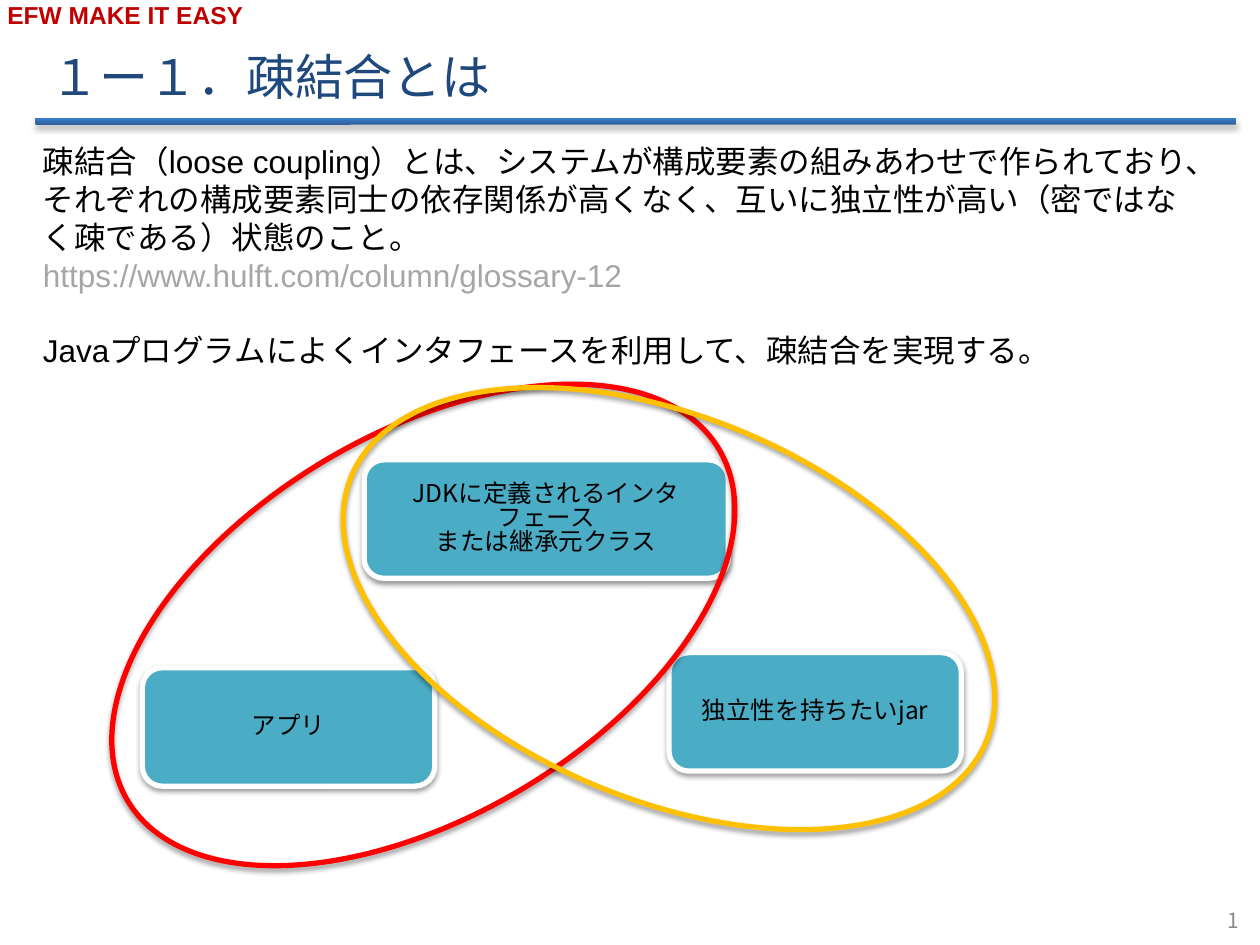
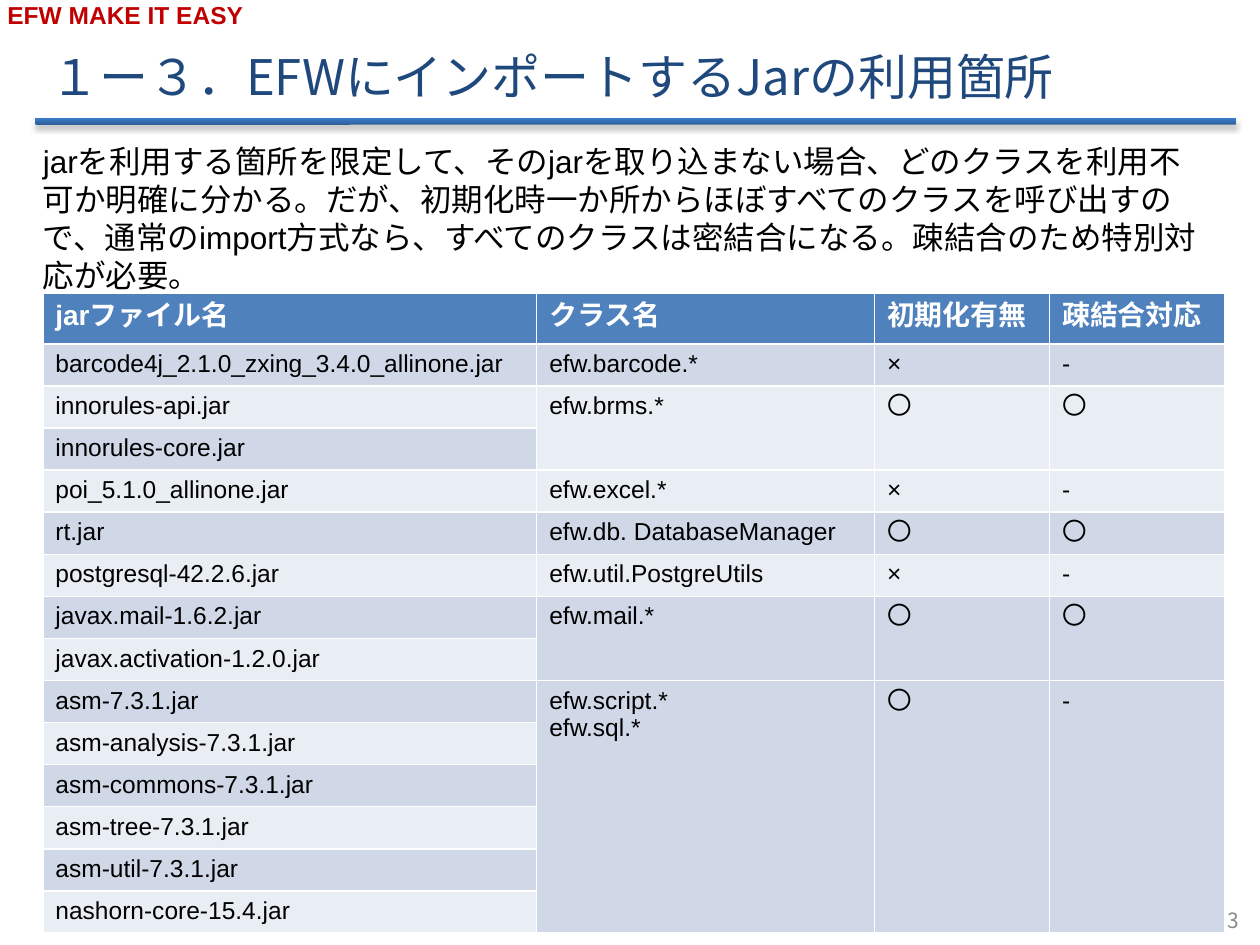
from dataclasses import dataclass

from pptx import Presentation
from pptx.dml.color import RGBColor
from pptx.enum.shapes import MSO_SHAPE
from pptx.enum.text import MSO_ANCHOR, MSO_AUTO_SIZE, PP_ALIGN
from pptx.oxml.ns import qn
from pptx.util import Inches, Pt
from lxml.etree import SubElement


@dataclass(frozen=True)
class Theme:
    sans: str = "Arial"
    japanese: str = "Noto Sans CJK JP"
    black: str = "000000"
    white: str = "FFFFFF"
    brand: str = "C00000"
    title: str = "1F497D"
    number: str = "898989"
    link: str = "A6A6A6"
    rule: tuple = ("2F5F99", "3A7CCB")
    box: str = "4BACC6"
    header: str = "4F81BD"
    bands: tuple = ("D0D8E8", "E9EDF4")
    title_size: int = 28
    body_size: int = 18
    header_size: int = 16
    label_size: int = 14
    number_size: int = 12


THEME = Theme()

BRAND = "EFW MAKE IT EASY"

COUPLING = {
    "title": "１ー１．疎結合とは",
    "number": 1,
    "body_height": 1.92,
    # text, colour, space before in points
    "body": [
        ("疎結合（loose coupling）とは、システムが構成要素の組みあわせで作られており、"
         "それぞれの構成要素同士の依存関係が高くなく、互いに独立性が高い"
         "（密ではなく疎である）状態のこと。", THEME.black, 0),
        ("https://www.hulft.com/column/glossary-12", THEME.link, 0),
        ("Javaプログラムによくインタフェースを利用して、疎結合を実現する。", THEME.black, 21.5),
    ],
}
# lines, left, top, width
COMPONENTS = [
    (["アプリ"], 1.13, 5.3, 2.32),
    (["独立性を持ちたいjar"], 5.31, 5.18, 2.32),
    (["JDKに定義されるインタフェース", "または継承元クラス"], 2.89, 3.65, 2.89),
]
# left, top, rotation, colour
GROUPS = [(0.63, 3.44, 329.3, "FF0000"), (2.58, 3.31, 22.7, "FFC000")]

IMPORTS = {
    "title": "１ー３．EFWにインポートするJarの利用箇所",
    "number": 3,
    "body_height": 1.25,
    "body": [
        ("jarを利用する箇所を限定して、そのjarを取り込まない場合、どのクラスを利用不可か"
         "明確に分かる。だが、初期化時一か所からほぼすべてのクラスを呼び出すので、"
         "通常のimport方式なら、すべてのクラスは密結合になる。"
         "疎結合のため特別対応が必要。", THEME.black, 0),
    ],
}
JAR_HEADINGS = ["jarファイル名", "クラス名", "初期化有無", "疎結合対応"]
JAR_COLUMNS = [3.92, 2.68, 1.39, 1.39]
# jar files, classes, initialised, loosely coupled
JAR_USES = [
    (["barcode4j_2.1.0_zxing_3.4.0_allinone.jar"], ["efw.barcode.*"], "×", "‐"),
    (["innorules-api.jar", "innorules-core.jar"], ["efw.brms.*"], "〇", "〇"),
    (["poi_5.1.0_allinone.jar"], ["efw.excel.*"], "×", "‐"),
    (["rt.jar"], ["efw.db. DatabaseManager"], "〇", "〇"),
    (["postgresql-42.2.6.jar"], ["efw.util.PostgreUtils"], "×", "‐"),
    (["javax.mail-1.6.2.jar", "javax.activation-1.2.0.jar"], ["efw.mail.*"], "〇", "〇"),
    (["asm-7.3.1.jar", "asm-analysis-7.3.1.jar", "asm-commons-7.3.1.jar",
      "asm-tree-7.3.1.jar", "asm-util-7.3.1.jar", "nashorn-core-15.4.jar"],
     ["efw.script.*", "efw.sql.*"], "〇", "‐"),
]


def rgb(colour):
    return RGBColor.from_string(colour)


def box(left, top, width, height):
    return [Inches(length) for length in (left, top, width, height)]


def place(shape, *bounds):
    shape.left, shape.top, shape.width, shape.height = box(*bounds)


def style(paragraph, size, colour, face=THEME.sans, bold=False, align=PP_ALIGN.LEFT):
    paragraph.alignment = align
    font = paragraph.font
    font.size, font.bold, font.name = Pt(size), bold, face
    font.color.rgb = rgb(colour)
    east_asian = SubElement(paragraph._p.pPr.find(qn("a:defRPr")), qn("a:ea"))
    east_asian.set("typeface", face)


def write(frame, lines, *args, **kwargs):
    """Fill the frame with one paragraph per line, all styled alike."""
    frame.text = "\n".join(lines)
    for paragraph in frame.paragraphs:
        style(paragraph, *args, **kwargs)


def cast_shadow(shape, opacity, distance):
    shape.shadow.inherit = False
    effects = shape._element.spPr.find(qn("a:effectLst"))
    shadow = SubElement(effects, qn("a:outerShdw"), blurRad=str(Pt(3.1)),
                        dist=str(Pt(distance)), dir="5400000", rotWithShape="0")
    black = SubElement(shadow, qn("a:srgbClr"), val=THEME.black)
    SubElement(black, qn("a:alpha"), val=str(opacity * 1000))


def add_label(slide, bounds, text, *args, **kwargs):
    frame = slide.shapes.add_textbox(*box(*bounds)).text_frame
    frame.word_wrap = True
    write(frame, [text], *args, **kwargs)
    return frame


def add_rule(slide):
    rule = slide.shapes.add_shape(MSO_SHAPE.ROUNDED_RECTANGLE, *box(0.28, 0.94, 9.53, 0.05))
    rule.line.fill.background()
    rule.fill.gradient()
    rule.fill.gradient_angle = 90
    for stop, colour in zip(rule.fill.gradient_stops, THEME.rule):
        stop.color.rgb = rgb(colour)
    cast_shadow(rule, 35, 1.8)


def fill_body(placeholder, passages):
    frame = placeholder.text_frame
    frame.auto_size = MSO_AUTO_SIZE.NONE
    frame.text = "\n".join(text for text, _, _ in passages)
    for paragraph, (_, colour, gap) in zip(frame.paragraphs, passages):
        properties = paragraph._p.get_or_add_pPr()
        properties.set("marL", "0")
        properties.set("indent", "0")
        SubElement(properties, qn("a:buNone"))
        paragraph.space_before = Pt(gap)
        style(paragraph, THEME.body_size, colour)


def add_page(deck, page):
    """Add a slide with the shared rule, brand, title, body and number."""
    slide = deck.slides.add_slide(deck.slide_layouts[1])
    add_rule(slide)
    add_label(slide, (-0.04, -0.05, 3.54, 0.34), BRAND,
              THEME.label_size, THEME.brand, bold=True)

    title, body = slide.placeholders
    place(title, 0.3, 0.3, 9, 0.61)
    title.text_frame.auto_size = MSO_AUTO_SIZE.NONE
    title.text_frame.vertical_anchor = MSO_ANCHOR.MIDDLE
    write(title.text_frame, [page["title"]], THEME.title_size, THEME.title, THEME.japanese)

    place(body, 0.24, 1.08, 9.38, page["body_height"])
    fill_body(body, page["body"])

    number = add_label(slide, (7.6, 7.1, 2.33, 0.4), str(page["number"]), THEME.number_size,
                       THEME.number, THEME.japanese, align=PP_ALIGN.RIGHT)
    number.vertical_anchor = MSO_ANCHOR.MIDDLE
    return slide


def add_component(slide, lines, left, top, width):
    component = slide.shapes.add_shape(MSO_SHAPE.ROUNDED_RECTANGLE, *box(left, top, width, 0.94))
    component.fill.solid()
    component.fill.fore_color.rgb = rgb(THEME.box)
    component.line.color.rgb = rgb(THEME.white)
    component.line.width = Pt(3)
    cast_shadow(component, 38, 1.6)
    frame = component.text_frame
    frame.vertical_anchor = MSO_ANCHOR.MIDDLE
    write(frame, lines, THEME.label_size, THEME.black, THEME.japanese, align=PP_ALIGN.CENTER)
    for paragraph in frame.paragraphs:
        paragraph.line_spacing = 0.83


def add_group(slide, left, top, rotation, colour):
    group = slide.shapes.add_shape(MSO_SHAPE.OVAL, *box(left, top, 5.46, 3.04))
    group.rotation = rotation
    group.fill.background()
    group.line.color.rgb = rgb(colour)
    group.line.width = Pt(3)
    cast_shadow(group, 38, 1.6)


def fill_cell(cell, lines, fill, size=THEME.label_size, colour=THEME.black, bold=False):
    cell.fill.solid()
    cell.fill.fore_color.rgb = rgb(fill)
    write(cell.text_frame, lines, size, colour, bold=bold)


def add_jar_table(slide):
    jar_count = sum(len(jars) for jars, *_ in JAR_USES)
    table = slide.shapes.add_table(jar_count + 1, len(JAR_COLUMNS),
                                   *box(0.34, 2.33, sum(JAR_COLUMNS), 5.07)).table
    for column, width in zip(table.columns, JAR_COLUMNS):
        column.width = Inches(width)
    header, *jar_rows = table.rows
    header.height = Inches(0.4)
    for row in jar_rows:
        row.height = Inches(4.67 / jar_count)

    for cell, heading in zip(header.cells, JAR_HEADINGS):
        fill_cell(cell, [heading], THEME.header, THEME.header_size, THEME.white, bold=True)

    top = 1
    for jars, classes, initialised, decoupled in JAR_USES:
        for row, jar in enumerate(jars, top):
            fill_cell(table.cell(row, 0), [jar], THEME.bands[(row - 1) % 2])
        bottom = top + len(jars) - 1
        for column, lines in enumerate((classes, [initialised], [decoupled]), 1):
            cell = table.cell(top, column)
            if bottom > top:
                cell.merge(table.cell(bottom, column))
            fill_cell(cell, lines, THEME.bands[(top - 1) % 2])
        top = bottom + 1


def main():
    deck = Presentation()
    deck.slide_width, deck.slide_height = Inches(10), Inches(7.5)

    coupling = add_page(deck, COUPLING)
    for component in COMPONENTS:
        add_component(coupling, *component)
    for group in GROUPS:
        add_group(coupling, *group)

    add_jar_table(add_page(deck, IMPORTS))
    deck.save("out.pptx")


if __name__ == "__main__":
    main()
